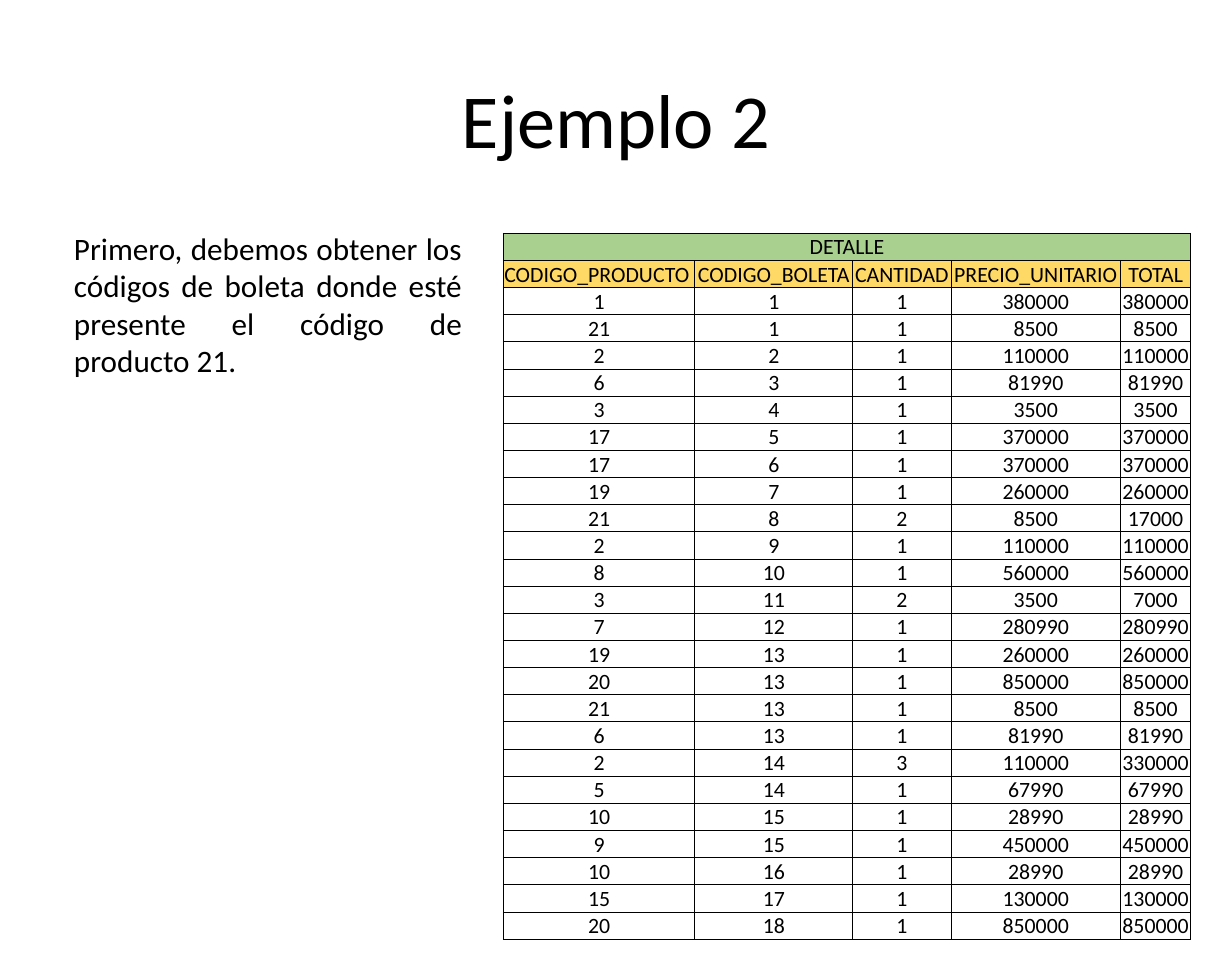
from lxml import etree
from pptx import Presentation
from pptx.dml.color import RGBColor
from pptx.enum.text import MSO_ANCHOR, PP_ALIGN
from pptx.oxml.ns import qn
from pptx.util import Pt

LEFT, CENTER, JUSTIFY = PP_ALIGN.LEFT, PP_ALIGN.CENTER, PP_ALIGN.JUSTIFY
TOP, MIDDLE, BOTTOM = MSO_ANCHOR.TOP, MSO_ANCHOR.MIDDLE, MSO_ANCHOR.BOTTOM

FONT = "Calibri"
BLACK, GREEN, YELLOW = "000000", "A9D08E", "FFD966"

TITLE = "Ejemplo 2"
INSTRUCTION = (
    "Primero, debemos obtener los códigos de boleta donde esté presente "
    "el código de producto 21."
)
TABLE_TITLE = "DETALLE"
HEADERS = ["CODIGO_PRODUCTO", "CODIGO_BOLETA", "CANTIDAD", "PRECIO_UNITARIO", "TOTAL"]
SALES = [
    (1, 1, 1, 380000),
    (21, 1, 1, 8500),
    (2, 2, 1, 110000),
    (6, 3, 1, 81990),
    (3, 4, 1, 3500),
    (17, 5, 1, 370000),
    (17, 6, 1, 370000),
    (19, 7, 1, 260000),
    (21, 8, 2, 8500),
    (2, 9, 1, 110000),
    (8, 10, 1, 560000),
    (3, 11, 2, 3500),
    (7, 12, 1, 280990),
    (19, 13, 1, 260000),
    (20, 13, 1, 850000),
    (21, 13, 1, 8500),
    (6, 13, 1, 81990),
    (2, 14, 3, 110000),
    (5, 14, 1, 67990),
    (10, 15, 1, 28990),
    (9, 15, 1, 450000),
    (10, 16, 1, 28990),
    (15, 17, 1, 130000),
    (20, 18, 1, 850000),
]
COLUMN_WIDTHS = [123, 101.5, 63, 109, 45]
ROW_HEIGHT = 16
TABLE_LEFT, TABLE_TOP = 323.3, 149.8
CELL_INSET = 0.6
BORDER_WIDTH = 0.5


def color(value):
    return RGBColor.from_string(value)


def write(frame, text, size, align):
    frame.text = str(text)
    para = frame.paragraphs[0]
    para.alignment = align
    para.font.name = FONT
    para.font.size = Pt(size)
    para.font.color.rgb = color(BLACK)


def add_text(page, bounds, text, size, align, anchor):
    box = page.shapes.add_textbox(*map(Pt, bounds))
    frame = box.text_frame
    frame.word_wrap = True
    frame.vertical_anchor = anchor
    frame.margin_left = frame.margin_right = Pt(7.9)
    frame.margin_top = frame.margin_bottom = Pt(4)
    write(frame, text, size, align)


def add_borders(cell):
    properties = cell._tc.get_or_add_tcPr()
    for side in ("a:lnL", "a:lnR", "a:lnT", "a:lnB"):
        line = etree.SubElement(properties, qn(side), w=str(Pt(BORDER_WIDTH)))
        fill = etree.SubElement(line, qn("a:solidFill"))
        etree.SubElement(fill, qn("a:srgbClr"), val=BLACK)


def format_cell(cell, text, fill, align, anchor):
    cell.margin_left = cell.margin_right = cell.margin_top = Pt(CELL_INSET)
    cell.margin_bottom = 0
    cell.vertical_anchor = anchor
    add_borders(cell)
    if fill:
        cell.fill.solid()
        cell.fill.fore_color.rgb = color(fill)
    else:
        cell.fill.background()
    write(cell.text_frame, text, 14, align)


def add_detail_table(page):
    title_row = [TABLE_TITLE] + [""] * (len(HEADERS) - 1)
    sale_rows = [(*sale, sale[2] * sale[3]) for sale in SALES]
    rows = [title_row, HEADERS, *sale_rows]
    table = page.shapes.add_table(
        len(rows), len(HEADERS), Pt(TABLE_LEFT), Pt(TABLE_TOP),
        Pt(sum(COLUMN_WIDTHS)), Pt(ROW_HEIGHT * len(rows)),
    ).table
    table.first_row = table.horz_banding = False
    for column, width in zip(table.columns, COLUMN_WIDTHS):
        column.width = Pt(width)
    fills = {0: GREEN, 1: YELLOW}
    for row_index, values in enumerate(rows):
        table.rows[row_index].height = Pt(ROW_HEIGHT)
        for column_index, value in enumerate(values):
            first_header = (row_index, column_index) == (1, 0)
            at_bottom = first_header or row_index in (0, len(rows) - 1)
            format_cell(
                table.cell(row_index, column_index), value, fills.get(row_index),
                LEFT if first_header else CENTER, BOTTOM if at_bottom else MIDDLE,
            )
    table.cell(0, 0).merge(table.cell(0, len(HEADERS) - 1))


def main():
    deck = Presentation()
    deck.slide_width, deck.slide_height = Pt(791.3), Pt(612.7)
    page = deck.slides.add_slide(deck.slide_layouts[6])
    add_text(page, (39.6, 24.5, 712, 102.2), TITLE, 49, CENTER, MIDDLE)
    add_text(page, (39.6, 143.3, 265, 404.6), INSTRUCTION, 20, JUSTIFY, TOP)
    add_detail_table(page)
    deck.save("out.pptx")


if __name__ == "__main__":
    main()
